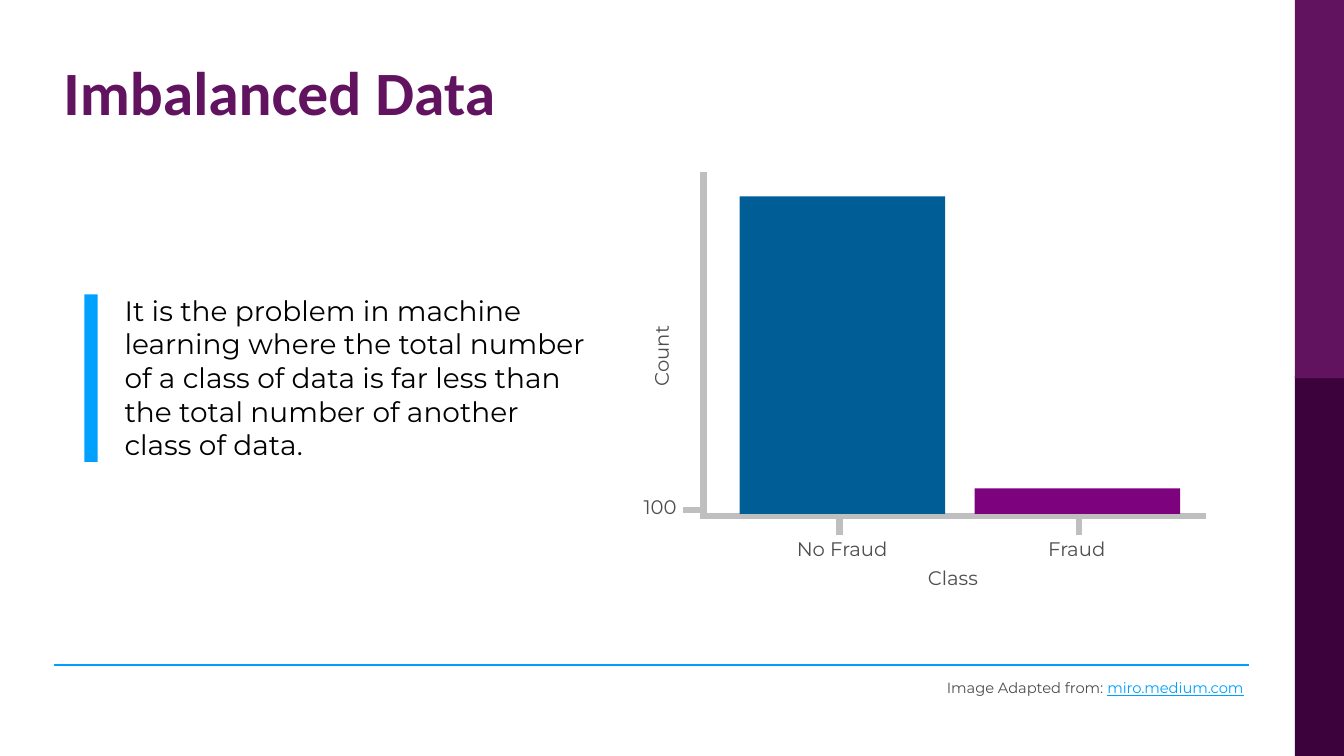
from dataclasses import dataclass
from lxml import etree
from pptx import Presentation
from pptx.dml.color import RGBColor
from pptx.enum.shapes import MSO_CONNECTOR, MSO_SHAPE
from pptx.enum.text import PP_ALIGN
from pptx.oxml.ns import qn
from pptx.util import Cm, Pt

RECTANGLE = MSO_SHAPE.RECTANGLE
STRAIGHT = MSO_CONNECTOR.STRAIGHT
LEFT, CENTER, RIGHT = PP_ALIGN.LEFT, PP_ALIGN.CENTER, PP_ALIGN.RIGHT


@dataclass(frozen=True)
class Theme:
    purple: str = "621360"
    dark_purple: str = "3C023C"
    accent: str = "00A0FF"
    black: str = "000000"
    grey: str = "4E4E4E"
    axis: str = "BFBFBF"
    majority: str = "005D96"
    minority: str = "7D037E"
    title_font: str = "Calibri"
    body_font: str = "Montserrat"
    title_size: float = 44
    body_size: float = 20
    label_size: float = 14
    source_size: float = 10.5


theme = Theme()

presentation = Presentation()
presentation.slide_width = Cm(33.87)
presentation.slide_height = Cm(19.05)
slide = presentation.slides.add_slide(presentation.slide_layouts[6])


def add_line(x1, y1, x2, y2, color, width):
    line = slide.shapes.add_connector(STRAIGHT, Cm(x1), Cm(y1), Cm(x2), Cm(y2))
    line.line.color.rgb = RGBColor.from_string(color)
    line.line.width = Pt(width)
    etree.SubElement(line._element.spPr, qn("a:effectLst"))


def add_text(text, left, top, width, height, size, color, align=LEFT, font=theme.body_font):
    box = slide.shapes.add_textbox(Cm(left), Cm(top), Cm(width), Cm(height))
    frame = box.text_frame
    frame.word_wrap = True
    frame.margin_top = frame.margin_bottom = Cm(0.25)
    frame.margin_left = frame.margin_right = Cm(0.25)
    paragraph = frame.paragraphs[0]
    paragraph.add_run().text = text
    paragraph.alignment = align
    paragraph.font.name = font
    paragraph.font.size = Pt(size)
    paragraph.font.color.rgb = RGBColor.from_string(color)
    return box


baseline = 12.95
axis_x, axis_y = 17.73, 13
majority_height, minority_height = 8, 0.64
bar_width = 5.18

rectangles = [
    (32.63, 9.47, 1.24, 9.58, theme.dark_purple),
    (32.63, 0, 1.24, 9.53, theme.purple),
    (2.13, 7.42, 0.33, 4.22, theme.accent),
]
bars = [
    (18.64, baseline - majority_height, bar_width, majority_height, theme.majority),
    (24.56, baseline - minority_height, bar_width, minority_height, theme.minority),
]
axis_lines = [
    (axis_x, 4.34, axis_x, 12.98),
    (30.4, axis_y, 17.65, axis_y),
    (21.16, axis_y, 21.16, 13.49),
    (27.2, axis_y, 27.2, 13.49),
    (axis_x, 12.85, 17.22, 12.85),
]

add_line(1.35, 16.76, 31.47, 16.76, theme.accent, 1.5)
for x1, y1, x2, y2 in axis_lines:
    add_line(x1, y1, x2, y2, theme.axis, 4.5)

for left, top, width, height, color in rectangles + bars:
    shape = slide.shapes.add_shape(RECTANGLE, Cm(left), Cm(top), Cm(width), Cm(height))
    shape.shadow.inherit = False
    shape.fill.solid()
    shape.fill.fore_color.rgb = RGBColor.from_string(color)
    shape.line.fill.background()

title = add_text("Imbalanced Data", 1.35, 1.55, 30.05, 2.54,
                 theme.title_size, theme.purple, font=theme.title_font)
title.text_frame.margin_top = title.text_frame.margin_bottom = Cm(0.13)
title.text_frame.paragraphs[0].line_spacing = 0.82
title.text_frame.paragraphs[0].font.bold = True

definition = add_text(
    "It is the problem in machine learning where the total number of a class of data "
    "is far less than the total number of another class of data.",
    2.74, 7.14, 12.45, 4.75, theme.body_size, theme.black)
definition.text_frame.paragraphs[0]._p.get_or_add_pPr().set("marL", str(Cm(0.15)))

labels = [
    ("Class", 22.53, 14.02, 2.97, 0),
    ("Fraud", 25.88, 13.28, 2.51, 0),
    ("No Fraud", 19.74, 13.28, 2.97, 0),
    ("Count", 15.24, 8.36, 2.97, 270),
    ("100", 15.85, 12.22, 1.57, 0),
]
for text, left, top, width, rotation in labels:
    label = add_text(text, left, top, width, 1.22, theme.label_size, theme.grey, CENTER)
    label.rotation = rotation

source = add_text("Image Adapted from: ", 23.11, 16.89, 8.48, 0.97,
                  theme.source_size, theme.grey, RIGHT)
address = source.text_frame.paragraphs[0].add_run()
address.text = "miro.medium.com"
address.font.underline = True
address.font.color.rgb = RGBColor.from_string(theme.accent)

presentation.save("out.pptx")
